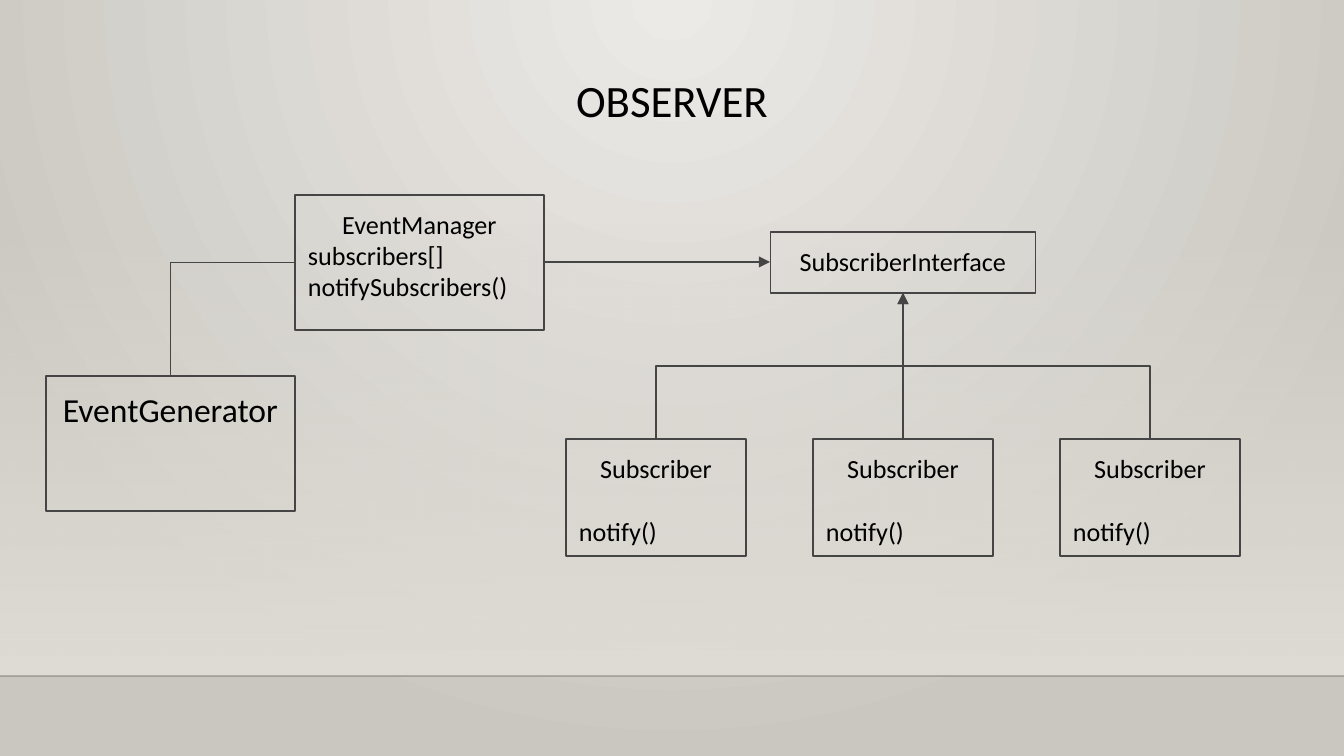
from lxml import etree
from pptx import Presentation
from pptx.dml.color import RGBColor as RGB
from pptx.enum.shapes import MSO_CONNECTOR as Conn, MSO_SHAPE as Shape
from pptx.enum.text import MSO_ANCHOR as Anchor, PP_ALIGN as Align
from pptx.oxml import parse_xml
from pptx.oxml.ns import nsdecls, qn
from pptx.util import Pt

PX = 914400 / 134.4
WIDE, HIGH = 1344, 756
PAD = 13
FONT = "Calibri"
INK = {"text": "000000", "line": "454545", "rule": "000001",
       "glow": "ECEAE7", "edge": "CAC7C1", "band": "DFDBD5"}


def emu(*vals):
    return [round(v * PX) for v in vals]


def grad(stops, shade):
    """Gradient fill from (place, colour, alpha) stops, all in percent."""
    marks = "".join(
        f'<a:gs pos="{pos * 1000}"><a:srgbClr val="{INK[key]}">'
        f'<a:alpha val="{alpha * 1000}"/></a:srgbClr></a:gs>'
        for pos, key, alpha in stops)
    return parse_xml(f'<a:gradFill {nsdecls("a")} rotWithShape="1">'
                     f'<a:gsLst>{marks}</a:gsLst>{shade}</a:gradFill>')


def write(par, text, size, align):
    par.alignment = align
    run = par.add_run()
    run.text = text
    run.font.size = Pt(size)
    run.font.name = FONT
    run.font.color.rgb = RGB.from_string(INK["text"])


def inset(frame):
    frame.margin_left, frame.margin_top, frame.margin_right, frame.margin_bottom = emu(*[PAD] * 4)
    frame.vertical_anchor = Anchor.TOP
    frame.word_wrap = True


def link(slide, start, end, kind=Conn.STRAIGHT, color="line", width=0.75, arrow=False):
    line = slide.shapes.add_connector(kind, *emu(*start, *end))
    line.line.color.rgb = RGB.from_string(INK[color])
    line.line.width = Pt(width)
    if arrow:
        etree.SubElement(line.line._get_or_add_ln(), qn("a:tailEnd"), type="triangle")
    etree.SubElement(line._element.spPr, qn("a:effectLst"))
    return line


def elbow(slide, start, end, prst="bentConnector3", arrow=False):
    """Bent line that leaves its start upwards: a sideways one turned by 270 degrees."""
    (x1, y1), (x2, y2) = start, end
    mx, my = (x1 + x2) / 2, (y1 + y2) / 2
    dx, dy = (x2 - x1) / 2, (y1 - y2) / 2
    line = link(slide, (mx - dy, my - dx), (mx + dy, my + dx), Conn.ELBOW, arrow=arrow)
    props = line._element.spPr
    props.find(qn("a:xfrm")).set("rot", str(270 * 60000))
    props.find(qn("a:prstGeom")).set("prst", prst)


def node(slide, box, name, members=(), size=14, gap=0):
    """Class box: centred name, then members on the left after a gap."""
    item = slide.shapes.add_shape(Shape.RECTANGLE, *emu(*box))
    item.shadow.inherit = False
    item.fill.background()
    item.line.color.rgb = RGB.from_string(INK["line"])
    item.line.width = Pt(0.75)
    frame = item.text_frame
    inset(frame)
    write(frame.paragraphs[0], name, size, Align.CENTER)
    for i, text in enumerate(members):
        par = frame.add_paragraph()
        par.space_before = Pt(0 if i else gap)
        write(par, text, size, Align.LEFT)


def backdrop(slide, box):
    x, y, w, h = box
    # Radial glow from the top centre
    slide.background.fill.solid()
    props = slide.background._cSld.bg.bgPr
    shade = '<a:path path="circle"><a:fillToRect l="43000" t="0" r="43000" b="100000"/></a:path>'
    props.replace(props.find(qn("a:solidFill")),
                  grad([(0, "glow", 100), (100, "edge", 100)], shade))
    # Fading band and the floor line under it
    top, floor = y + 223, y + 676
    band = slide.shapes.add_shape(Shape.RECTANGLE, *emu(x, top, w, floor - top))
    band.shadow.inherit = False
    band.line.fill.background()
    band.fill.solid()
    props = band._element.spPr
    props.replace(props.find(qn("a:solidFill")),
                  grad([(0, "band", 0), (100, "band", 100)], '<a:lin ang="5400000" scaled="0"/>'))
    rule = link(slide, (x, floor), (x + w, floor), color="rule", width=1)
    tint = rule._element.spPr.find(".//" + qn("a:srgbClr"))
    etree.SubElement(tint, qn("a:alpha"), val="20000")


def heading(slide, box, text):
    title = slide.shapes.title
    title.left, title.top, title.width, title.height = emu(*box)
    inset(title.text_frame)
    par = title.text_frame.paragraphs[0]
    par.line_spacing = 0.9
    write(par, text, 24, Align.CENTER)


def source(slide, box):
    """Event generator at the lower left, manager at the upper right."""
    x, y, w, h = box
    bw, bh = w // 2, 135
    node(slide, (x + bw, y, bw, bh), "EventManager", ["subscribers[]", "notifySubscribers()"])
    node(slide, (x, y + h - bh, bw, bh), "EventGenerator", size=18)
    elbow(slide, (x + bw / 2, y + h - bh), (x + bw, y + bh / 2), "bentConnector2")


def targets(slide, box):
    """Interface on top, its subscribers in a row below."""
    x, y, w, h = box
    bw, bh, count = 180, 117, 3
    iw, ih = 265, 61
    mid, row = x + w / 2, y + h - bh
    node(slide, (mid - iw / 2, y, iw, ih), "SubscriberInterface")
    step = (w - bw) / (count - 1)
    for i in range(count):
        left = x + i * step
        node(slide, (left, row, bw, bh), "Subscriber", ["notify()"], gap=17)
        start, end = (left + bw / 2, row), (mid, y + ih)
        if start[0] == mid:
            link(slide, start, end, arrow=True)
        else:
            elbow(slide, start, end, arrow=start[0] > mid)


def main():
    deck = Presentation()
    deck.slide_width, deck.slide_height = emu(WIDE, HIGH)
    slide = deck.slides.add_slide(deck.slide_layouts[5])
    backdrop(slide, (0, 0, WIDE, HIGH))
    heading(slide, (46, 66, 1252, 85), "OBSERVER")
    source(slide, (46, 195, 498, 316))
    targets(slide, (566, 232, 674, 324))
    link(slide, (544, 262), (770, 262), arrow=True)
    deck.save("out.pptx")


if __name__ == "__main__":
    main()
